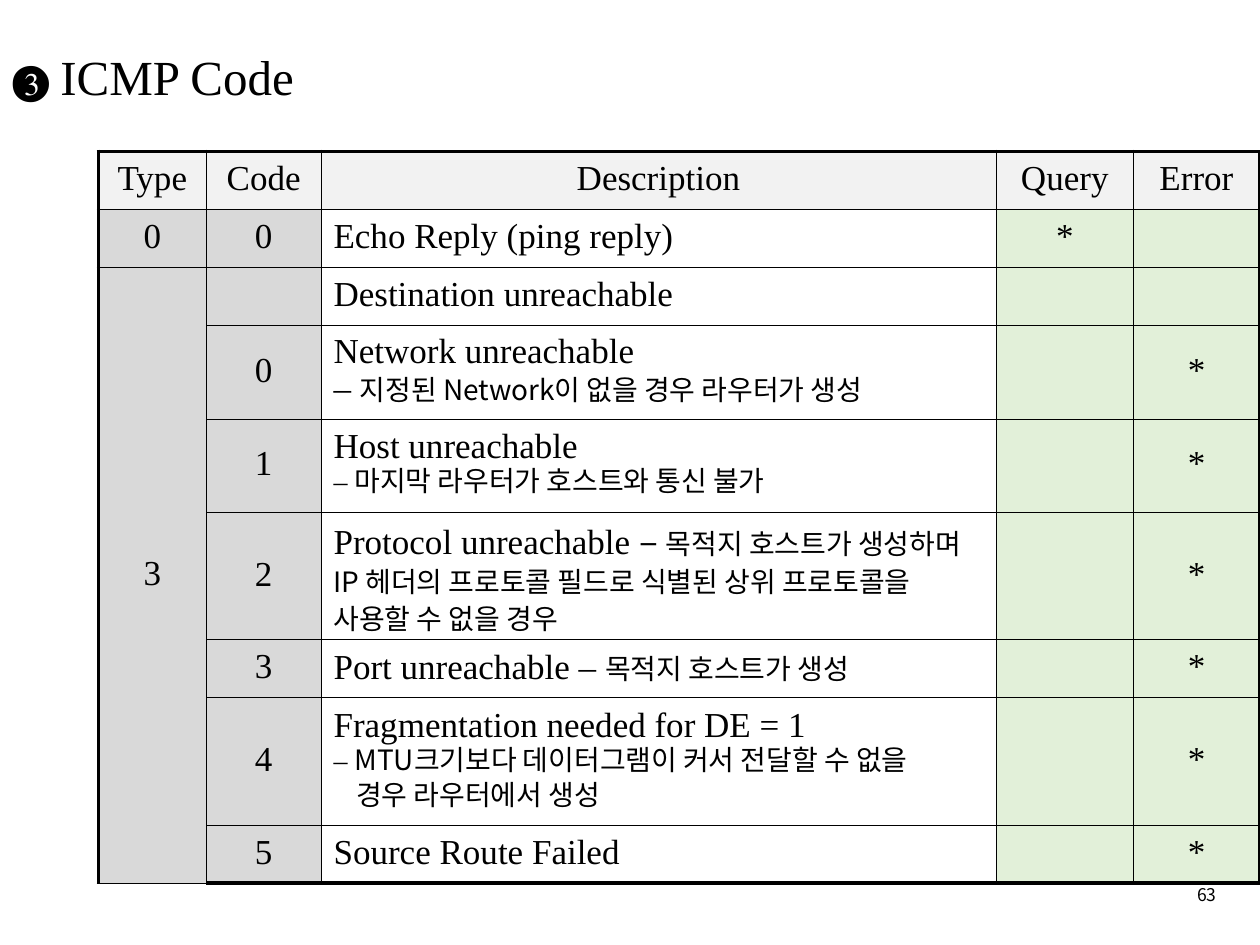
from lxml import etree
from pptx import Presentation
from pptx import util as u
from pptx.dml.color import RGBColor
from pptx.enum import text
from pptx.oxml import ns

COLORS = {"ink": "000000", "paper": "FFFFFF", "head": "F2F2F2",
          "key": "D9D9D9", "mark": "E2F0D9"}
SERIF, SANS = "Times New Roman", "Noto Sans CJK KR"
LEFT, CENTER, RIGHT = (text.PP_ALIGN.LEFT, text.PP_ALIGN.CENTER,
                       text.PP_ALIGN.RIGHT)

HEADINGS = ["Type", "Code", "Description", "Query", "Error"]
COLUMN_FILLS = ["key", "key", "paper", "mark", "mark"]
COLUMN_WIDTHS = [2.18, 2.31, 13.61, 2.77, 2.54]
ROW_HEIGHTS = [1.17, 1.17, 1.17, 1.88, 1.88, 2.57, 1.17, 2.57, 1.17]
NOTE_INDENT = 0.46


def big(words):
    return words, SERIF, 20


def note(words):
    return words, SANS, 16


# Type, code, description paragraphs, query mark, error mark
MESSAGES = [
    ("0", "0", [[big("Echo Reply (ping reply)")]], "*", ""),
    ("3", "", [[big("Destination unreachable")]], "", ""),
    ("", "0", [[big("Network unreachable")],
               [big("– "), note("지정된 Network이 없을 경우 라우터가 생성")]], "", "*"),
    ("", "1", [[big("Host unreachable")],
               [("– ", SERIF, 16), note("마지막 라우터가 호스트와 통신 불가")]], "", "*"),
    ("", "2", [[big("Protocol unreachable "), ("– ", SANS, 20),
                note("목적지 호스트가 생성하며 IP 헤더의 프로토콜 필드로 "
                     "식별된 상위 프로토콜을 사용할 수 없을 경우")]], "", "*"),
    ("", "3", [[big("Port unreachable – "), note("목적지 호스트가 생성")]], "", "*"),
    ("", "4", [[big("Fragmentation needed for DE = 1")],
               [("– ", SERIF, 16), note("MTU크기보다 데이터그램이 커서 전달할 수 없을")],
               [note("경우 라우터에서 생성")]], "", "*"),
    ("", "5", [[big("Source Route Failed")]], "", "*"),
]


def add_span(para, words, face, size):
    span = para.add_run()
    span.text = words
    span.font.size = u.Pt(size)
    span.font.color.rgb = RGBColor.from_string(COLORS["ink"])
    span.font.name = face
    etree.SubElement(span.font._element, ns.qn("a:ea"), typeface=face)


def fill_frame(frame, paragraphs, align):
    """Write paragraphs of spans; those after the first are tightly set notes."""
    for index, spans in enumerate(paragraphs):
        para = frame.add_paragraph() if index else frame.paragraphs[0]
        para.alignment = align
        para.line_spacing = u.Pt(10) if index else 0.9
        if index:
            para.space_before = u.Pt(0.6 * spans[0][2])
        if index > 1:
            para._p.get_or_add_pPr().set("marL", str(u.Cm(NOTE_INDENT)))
        for span in spans:
            add_span(para, *span)


def add_label(page, left, top, width, height, spans, align):
    box = page.shapes.add_textbox(*map(u.Cm, (left, top, width, height)))
    box.text_frame.word_wrap = True
    box.text_frame.vertical_anchor = text.MSO_ANCHOR.MIDDLE
    fill_frame(box.text_frame, [spans], align)


def set_borders(cell, widths):
    """Draw the edges of a cell; widths maps L, R, T and B to points."""
    properties = cell._tc.get_or_add_tcPr()
    for side, width in widths.items():
        line = etree.SubElement(properties, ns.qn("a:ln" + side),
                                w=str(u.Pt(width)))
        solid = etree.SubElement(line, ns.qn("a:solidFill"))
        etree.SubElement(solid, ns.qn("a:srgbClr"), val=COLORS["ink"])


def add_code_table(page, left, top, widths, heights):
    rows, columns = len(heights), len(widths)
    holder = page.shapes.add_table(
        rows, columns, u.Cm(left), u.Cm(top),
        u.Cm(sum(widths)), u.Cm(sum(heights)))
    table = holder.table
    table.first_row = table.horz_banding = False
    for column, width in zip(table.columns, widths):
        column.width = u.Cm(width)
    for row, height in zip(table.rows, heights):
        row.height = u.Cm(height)

    for r, values in enumerate([HEADINGS] + MESSAGES):
        for c, value in enumerate(values):
            cell = table.cell(r, c)
            outer = {"L": c == 0, "R": c == columns - 1,
                     "T": r == 0, "B": r == rows - 1}
            set_borders(cell, {side: 2.25 if edge else 0.25
                               for side, edge in outer.items()})
            cell.fill.solid()
            cell.fill.fore_color.rgb = RGBColor.from_string(
                COLORS[COLUMN_FILLS[c] if r else "head"])
            cell.vertical_anchor = text.MSO_ANCHOR.MIDDLE
            if isinstance(value, list):
                fill_frame(cell.text_frame, value, LEFT)
            elif value:
                fill_frame(cell.text_frame, [[big(value)]], CENTER)
    table.cell(2, 0).merge(table.cell(rows - 1, 0))


def main():
    deck = Presentation()
    deck.slide_width, deck.slide_height = u.Cm(25.4), u.Cm(19.05)
    page = deck.slides.add_slide(deck.slide_layouts[6])
    add_label(page, 19.05, 17.55, 5.72, 1.02, [("63", SANS, 10)], RIGHT)
    add_label(page, 0, 0.43, 22.76, 2.34,
              [("❸", SERIF, 24), (" ", SANS, 28), ("ICMP Code", SERIF, 28)],
              LEFT)
    add_code_table(page, 1.98, 3.05, COLUMN_WIDTHS, ROW_HEIGHTS)
    deck.save("out.pptx")


if __name__ == "__main__":
    main()
